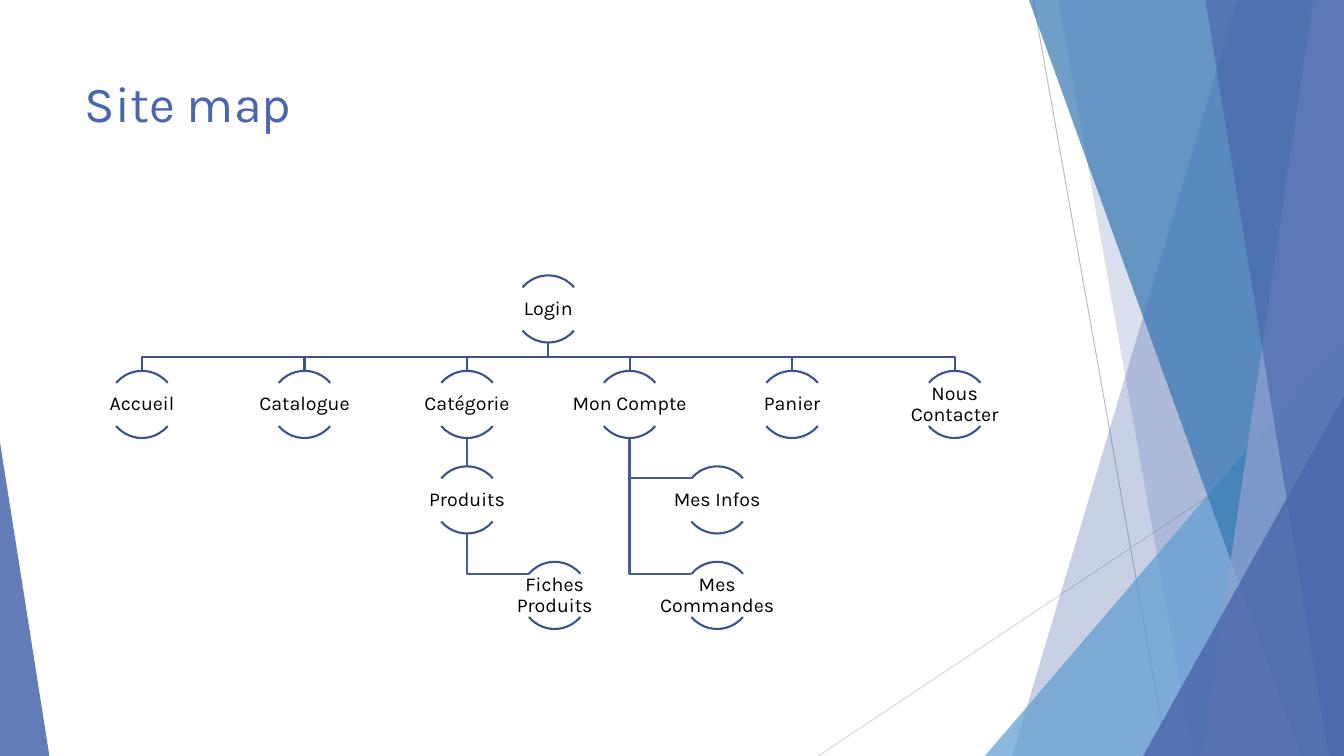
from dataclasses import dataclass
from math import cos, radians, sin

from lxml.etree import SubElement
from pptx import Presentation
from pptx.dml.color import RGBColor
from pptx.enum.shapes import MSO_CONNECTOR, MSO_SHAPE
from pptx.enum.text import MSO_ANCHOR, PP_ALIGN
from pptx.oxml.ns import qn
from pptx.util import Pt


@dataclass(frozen=True)
class Theme:
    font: str = "Karla"
    title_size: int = 36
    label_size: int = 14
    accent: str = "4A66AC"
    pale: str = "90A2CF"
    sky: str = "629DD1"
    ocean: str = "3477B2"
    node: str = "3B528A"
    branch: str = "435D9C"
    text: str = "000000"
    line: float = 1.5


THEME = Theme()
WIDTH, HEIGHT = 960, 540

# Content: label -> (parent, column, row, hangs to the side)
TITLE = "Site map"
NODES = {
    "Login": (None, 2.5, 0, False),
    "Accueil": ("Login", 0, 1, False),
    "Catalogue": ("Login", 1, 1, False),
    "Catégorie": ("Login", 2, 1, False),
    "Mon Compte": ("Login", 3, 1, False),
    "Panier": ("Login", 4, 1, False),
    "Nous Contacter": ("Login", 5, 1, False),
    "Produits": ("Catégorie", 2, 2, False),
    "Fiches Produits": ("Produits", 2, 3, True),
    "Mes Infos": ("Mon Compte", 3, 2, True),
    "Mes Commandes": ("Mon Compte", 3, 3, True),
}

# Backdrop: thin lines (from, to, colour)
THIN_LINES = [
    ((738, 0), (834, HEIGHT), "BFBFBF"),
    ((WIDTH, 290), (584.5, HEIGHT), "D9D9D9"),
]
# Bands run to the right edge: (top left x, bottom left x, colour, opacity)
# Triangles: (left, top, width, apex position, colour, opacity)
BACKDROP = [
    ("band", 884, 723, THEME.accent, 30),
    ("band", 756, 852, THEME.accent, 20),
    ("triangle", 703.5, 240, 256.5, 1, THEME.sky, 72),
    ("band", 735, 929.5, THEME.ocean, 70),
    ("band", 938, 858.5, THEME.pale, 70),
    ("band", 861, 949, THEME.accent, 65),
    ("triangle", 816.5, 283, 143.5, 1, THEME.accent, 80),
    ("triangle", 0, 316, 35.3, 0, THEME.accent, 85),
]

# Tree measures
FIRST_X, COLUMN_STEP = 101.4, 116.1
FIRST_Y, ROW_STEP = 196.7, 68.2
DIAMETER = 48
SIDE_SHIFT = 62.6
LABEL_WIDTH, LABEL_HEIGHT = 2 * DIAMETER, 31
ARC_START = 40
ARCS = [(180 + ARC_START, 360 - ARC_START), (ARC_START, 180 - ARC_START)]


def color(value):
    return RGBColor.from_string(value)


def fill_with(shape, value, opacity):
    shape.shadow.inherit = False
    shape.fill.solid()
    shape.fill.fore_color.rgb = color(value)
    shape.line.fill.background()
    tint = shape.fill._xPr.find(qn("a:solidFill"))[0]
    SubElement(tint, qn("a:alpha"), val=str(opacity * 1000))


def outline(shape, value):
    shape.shadow.inherit = False
    shape.fill.background()
    shape.line.color.rgb = color(value)
    shape.line.width = Pt(THEME.line)


def freeform(page, points, close):
    corners = [(Pt(x), Pt(y)) for x, y in points]
    builder = page.shapes.build_freeform(*corners[0])
    builder.add_line_segments(corners[1:], close=close)
    return builder.convert_to_shape()


def straight(page, start, end, value, width):
    line = page.shapes.add_connector(
        MSO_CONNECTOR.STRAIGHT, *(Pt(v) for v in (*start, *end)))
    line.line.color.rgb = color(value)
    line.line.width = Pt(width)
    SubElement(line._element.spPr, qn("a:effectLst"))


def style(para, size, value, align):
    para.font.name = THEME.font
    para.font.size = Pt(size)
    para.font.color.rgb = color(value)
    para.alignment = align


def draw_backdrop(page):
    for start, end, value in THIN_LINES:
        straight(page, start, end, value, 0.75)
    for kind, *measures, value, opacity in BACKDROP:
        if kind == "band":
            top_x, bottom_x = measures
            shape = freeform(page, [(top_x, 0), (WIDTH, 0), (WIDTH, HEIGHT),
                                    (bottom_x, HEIGHT)], True)
        else:
            left, top, width, apex = measures
            shape = page.shapes.add_shape(
                MSO_SHAPE.ISOSCELES_TRIANGLE, Pt(left), Pt(top),
                Pt(width), Pt(HEIGHT - top))
            shape.adjustments[0] = apex
        fill_with(shape, value, opacity)


def draw_title(page):
    title = page.shapes.title
    title.left, title.top = Pt(53.3), Pt(48)
    title.width, title.height = Pt(677), Pt(104)
    title.text_frame.vertical_anchor = MSO_ANCHOR.TOP
    title.text_frame.text = TITLE
    style(title.text_frame.paragraphs[0], THEME.title_size,
          THEME.accent, PP_ALIGN.LEFT)


def place(label):
    """Top centre of a node."""
    _, column, row, side = NODES[label]
    x = FIRST_X + column * COLUMN_STEP + side * SIDE_SHIFT
    return x, FIRST_Y + row * ROW_STEP


def draw_branch(page, label):
    parent, _, row, side = NODES[label]
    x, y = place(label)
    parent_x, parent_y = place(parent)
    start = (parent_x, parent_y + DIAMETER)
    value = THEME.node if row == 1 else THEME.branch
    if side:
        # The branch meets the left end of the upper arc
        radius, angle = DIAMETER / 2, radians(ARC_START)
        end_y = y + radius * (1 - sin(angle))
        points = [start, (parent_x, end_y),
                  (x - radius * cos(angle), end_y)]
    elif x == parent_x:
        straight(page, start, (x, y), value, THEME.line)
        return
    else:
        middle = (start[1] + y) / 2
        points = [start, (parent_x, middle), (x, middle), (x, y)]
    outline(freeform(page, points, False), value)


def draw_node(page, label):
    x, y = place(label)
    for angles in ARCS:
        arc = page.shapes.add_shape(
            MSO_SHAPE.ARC, Pt(x - DIAMETER / 2), Pt(y),
            Pt(DIAMETER), Pt(DIAMETER))
        for index, angle in enumerate(angles):
            arc.adjustments[index] = angle * 0.6  # 60000 units per degree
        outline(arc, THEME.node)
    box = page.shapes.add_textbox(
        Pt(x - LABEL_WIDTH / 2), Pt(y + (DIAMETER - LABEL_HEIGHT) / 2),
        Pt(LABEL_WIDTH), Pt(LABEL_HEIGHT))
    frame = box.text_frame
    frame.word_wrap = True
    frame.vertical_anchor = MSO_ANCHOR.MIDDLE
    frame.margin_left = frame.margin_right = Pt(0.7)
    frame.margin_top = frame.margin_bottom = Pt(0.7)
    frame.text = label
    para = frame.paragraphs[0]
    style(para, THEME.label_size, THEME.text, PP_ALIGN.CENTER)
    para.line_spacing = 0.9


def main():
    deck = Presentation()
    deck.slide_width, deck.slide_height = Pt(WIDTH), Pt(HEIGHT)
    page = deck.slides.add_slide(deck.slide_layouts[5])
    draw_backdrop(page)
    draw_title(page)
    for label, (parent, *_) in NODES.items():
        if parent:
            draw_branch(page, label)
    for label in NODES:
        draw_node(page, label)
    deck.save("out.pptx")


if __name__ == "__main__":
    main()
